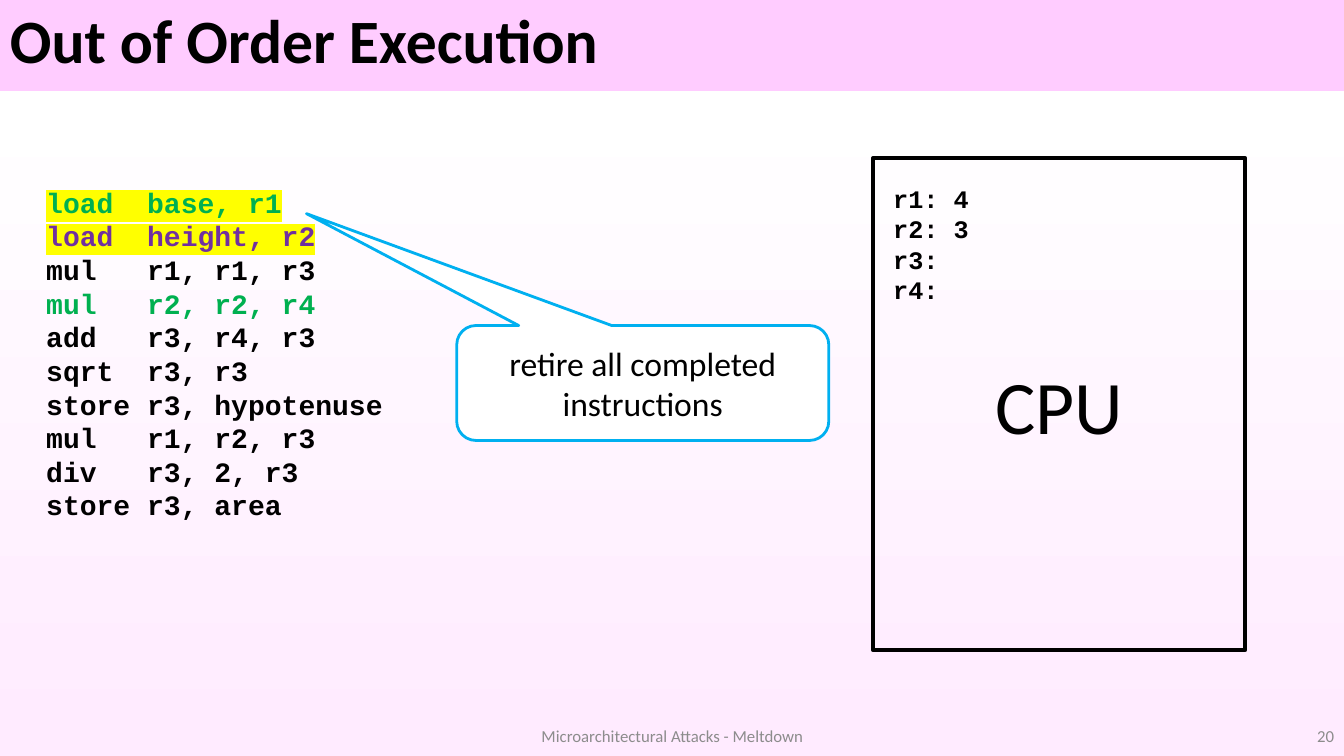
"""Build the out-of-order execution slide."""
from lxml import etree
from pptx import Presentation
from pptx.dml.color import RGBColor
from pptx.enum.shapes import MSO_SHAPE
from pptx.enum.text import MSO_ANCHOR, MSO_AUTO_SIZE, PP_ALIGN
from pptx.oxml.ns import qn
from pptx.util import Inches, Pt

RECT, CALLOUT = MSO_SHAPE.RECTANGLE, MSO_SHAPE.ROUNDED_RECTANGULAR_CALLOUT
TOP, MIDDLE = MSO_ANCHOR.TOP, MSO_ANCHOR.MIDDLE
LEFT, CENTER, RIGHT = PP_ALIGN.LEFT, PP_ALIGN.CENTER, PP_ALIGN.RIGHT
GROW, FIXED = MSO_AUTO_SIZE.SHAPE_TO_FIT_TEXT, MSO_AUTO_SIZE.NONE

COLORS = {
    "black": "000000", "white": "FFFFFF", "gray": "8C8C8C", "green": "00B050",
    "purple": "7030A0", "yellow": "FFFF00", "blue": "00B0F0",
    "band": "FFCCFF", "blush": "FFEBFF",
}
BACKGROUND = [(0, "band"), (12, "band"), (12, "white"), (100, "blush")]

TITLE = ["Out of Order Execution"]
PROGRAM = [
    ("load  base, r1", "green", "yellow"),
    ("load  height, r2", "purple", "yellow"),
    "mul   r1, r1, r3",
    ("mul   r2, r2, r4", "green", None),
    "add   r3, r4, r3",
    "sqrt  r3, r3",
    "store r3, hypotenuse",
    "mul   r1, r2, r3",
    "div   r3, 2, r3",
    "store r3, area",
]
REGISTERS = ["r1: 4", "r2: 3", "r3:", "r4:"]
CALLOUT_ADJ = (-0.904, -1.474, 0.167)

HEADING = {"name": "Calibri", "size": Pt(44), "bold": True}
CODE = {"name": "Courier New", "size": Pt(20), "bold": True}
REGISTER = {**CODE, "size": Pt(18)}
LABEL = {"name": "Calibri", "size": Pt(54)}
NOTE = {"name": "Calibri", "size": Pt(24)}
FOOTER = {"name": "Calibri", "size": Pt(12)}


def rgb(name):
    return RGBColor.from_string(COLORS[name])


def add_color(parent, tag, name):
    el = etree.SubElement(parent, qn(tag))
    etree.SubElement(el, qn("a:srgbClr"), val=COLORS[name])
    return el


def paint_background(s):
    fill = s.background.fill
    fill.gradient()
    grad = s.background._cSld.find(".//" + qn("a:gradFill"))
    stops = grad.find(qn("a:gsLst"))
    for gs in list(stops):
        stops.remove(gs)
    for pos, name in BACKGROUND:
        add_color(stops, "a:gs", name).set("pos", str(pos * 1000))
    grad.find(qn("a:lin")).set("ang", str(90 * 60000))


def write(sp, lines, font, color="black", align=LEFT, anchor=TOP, size=FIXED, spacing=None):
    tf = sp.text_frame
    for key, value in {"word_wrap": True, "auto_size": size, "vertical_anchor": anchor}.items():
        setattr(tf, key, value)
    for i, line in enumerate(lines):
        text, ink, mark = (line, color, None) if isinstance(line, str) else line
        p = tf.paragraphs[0] if i == 0 else tf.add_paragraph()
        p.alignment, p.line_spacing = align, spacing
        r = p.add_run()
        r.text = text
        for key, value in font.items():
            setattr(r.font, key, value)
        r.font.color.rgb = rgb(ink)
        if mark:
            r_pr = r.font._element
            r_pr.find(qn("a:solidFill")).addnext(add_color(r_pr, "a:highlight", mark))


def add_text(shapes, box, lines, font, **options):
    write(shapes.add_textbox(*map(Inches, box)), lines, font, **options)


def add_box(shapes, kind, box, line, width, fill=None):
    sp = shapes.add_shape(kind, *map(Inches, box))
    sp.shadow.inherit = False
    if fill:
        sp.fill.solid()
        sp.fill.fore_color.rgb = rgb(fill)
    else:
        sp.fill.background()
    sp.line.color.rgb = rgb(line)
    sp.line.width = Pt(width)
    return sp


def main():
    prs = Presentation()
    prs.slide_width, prs.slide_height = Inches(13.33), Inches(7.5)
    s = prs.slides.add_slide(prs.slide_layouts[6])
    paint_background(s)

    add_text(s.shapes, (0, 0, 13.33, 0.87), TITLE, HEADING, anchor=MIDDLE, spacing=0.9)
    add_text(s.shapes, (0.36, 1.79, 3.82, 3.47), PROGRAM, CODE, size=GROW)

    cpu = s.shapes.add_group_shape().shapes
    chip = add_box(cpu, RECT, (8.66, 1.57, 3.69, 4.88), "black", 3)
    write(chip, ["CPU"], LABEL, align=CENTER, anchor=MIDDLE)
    add_text(cpu, (8.76, 1.77, 1.88, 1.31), REGISTERS, REGISTER, size=GROW)

    retire = add_box(s.shapes, CALLOUT, (4.53, 3.23, 3.69, 1.14), "blue", 2, "white")
    for i, value in enumerate(CALLOUT_ADJ):
        retire.adjustments[i] = value
    write(retire, ["retire all completed instructions"], NOTE, align=CENTER, anchor=MIDDLE)

    for left, width, text, align in [
        (10.33, 3, "20", RIGHT),
        (4.42, 4.5, "Microarchitectural Attacks - Meltdown", CENTER),
    ]:
        add_text(s.shapes, (left, 7.1, width, 0.4), [text], FOOTER,
                 color="gray", align=align, anchor=MIDDLE)
    prs.save("out.pptx")


if __name__ == "__main__":
    main()
